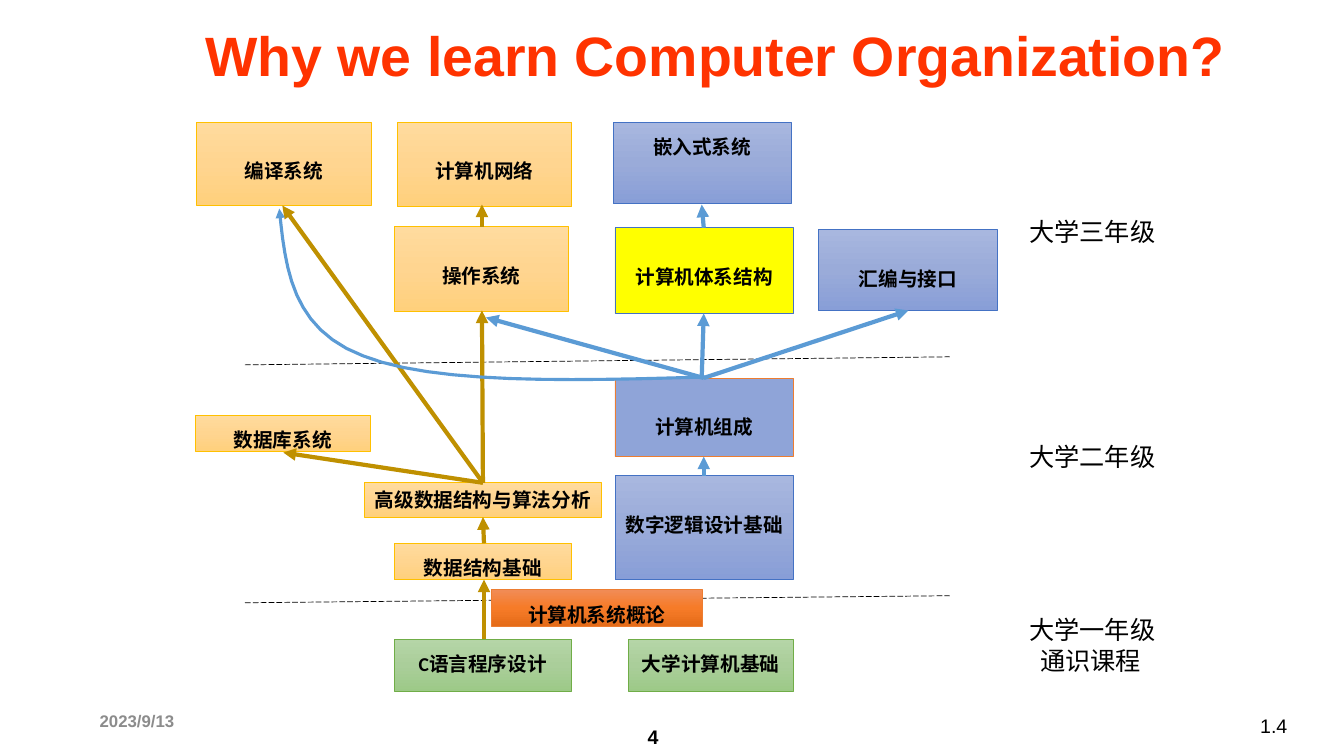
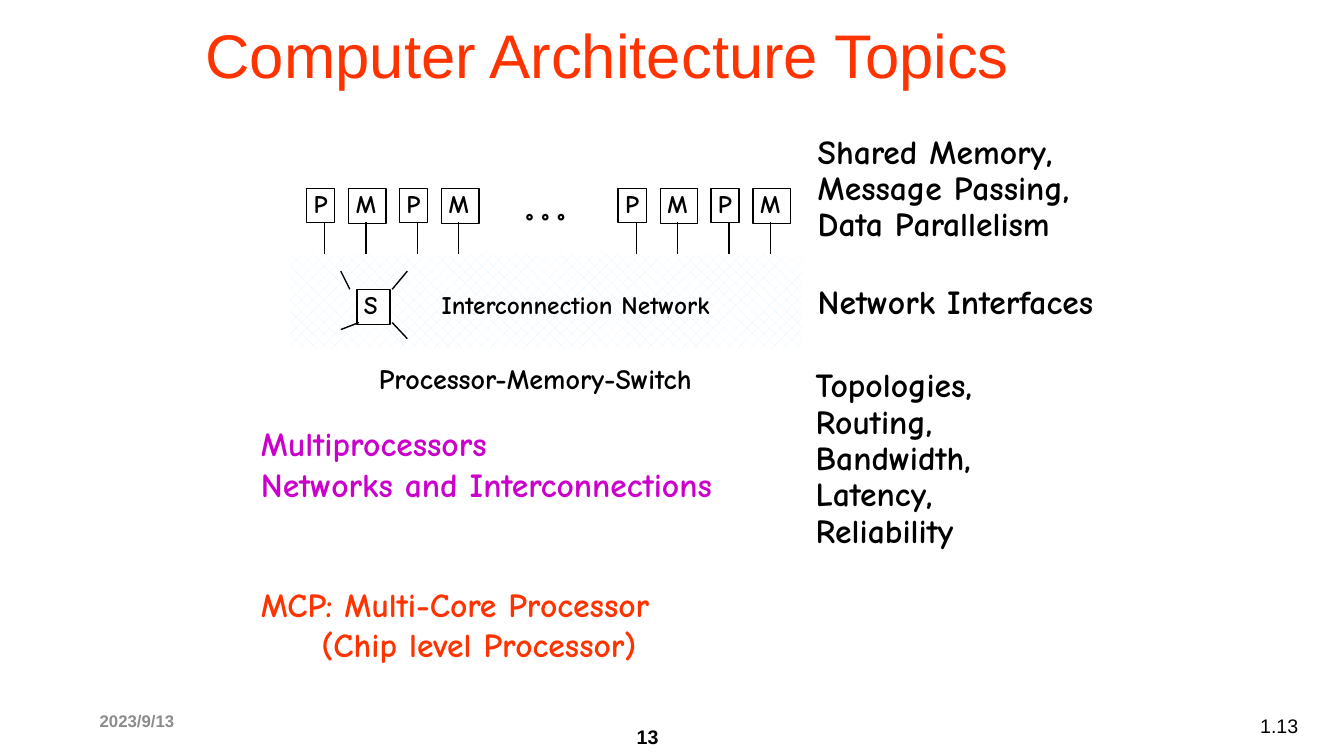
from copy import deepcopy
from pptx import Presentation
from pptx.dml.color import RGBColor
from pptx.enum.dml import MSO_LINE, MSO_PATTERN
from pptx.enum.shapes import MSO_CONNECTOR, MSO_SHAPE
from pptx.enum.text import MSO_ANCHOR, PP_ALIGN
from pptx.oxml.ns import qn
from pptx.oxml.xmlchemy import OxmlElement
from pptx.util import Inches, Pt


class Theme:
    sans, body, comic = "Arial", "Calibri", "Comic Neue"
    black, white, red = "000000", "FFFFFF", "FF3300"
    grey, purple, mist = "8C8C8C", "CC00CC", "E1F4FF"
    gold, blue = "BF9000", "5B9BD5"
    # Box kinds: fill stops, outline
    kinds = {
        "soft": (("FFDB9E", "FFD590", "FFD07C"), "FFC000"),
        "base": (("B5D5A7", "AACE9A", "9CC987"), "70AD47"),
        "hard": (("A8B7DF", "9AABD9", "889ED7"), "4472C4"),
        "intro": (("F18C57", "F67B28", "E56C19"), "ED7D31"),
        "core": (("8FA4D8",), "ED7D31"),
        "arch": (("FFFF00",), "4472C4"),
    }
    date, small, node, year, note, topic = 12, 14, 18, 18, 20, 24


# Text insets: left, top, right, bottom
PLAIN = (0.1, 0.05, 0.1, 0.05)
HIGH = (0.1, 0.13, 0.1, 0.05)
LOW = (0.1, 0.37, 0.1, 0.05)
TIGHT = (0.07, 0.03, 0, 0.03)

# Course map: text, kind, insets, place
COURSES = [
    ("编译系统", "soft", LOW, (1.95, 1.21, 1.73, 0.83)),
    ("计算机网络", "soft", LOW, (3.94, 1.21, 1.73, 0.84)),
    ("嵌入式系统", "hard", HIGH, (6.08, 1.21, 1.77, 0.81)),
    ("操作系统", "soft", LOW, (3.91, 2.25, 1.73, 0.84)),
    ("计算机体系结构", "arch", LOW, (6.1, 2.26, 1.77, 0.85)),
    ("汇编与接口", "hard", LOW, (8.12, 2.28, 1.77, 0.8)),
    ("计算机组成", "core", LOW, (6.1, 3.75, 1.77, 0.78)),
    ("数据库系统", "soft", HIGH, (1.94, 4.12, 1.73, 0.36)),
    ("高级数据结构与算法分析", "soft", PLAIN, (3.61, 4.79, 2.36, 0.34)),
    ("数字逻辑设计基础", "hard", LOW, (6.1, 4.72, 1.77, 1.03)),
    ("数据结构基础", "soft", HIGH, (3.91, 5.39, 1.76, 0.36)),
    ("计算机系统概论", "intro", HIGH, (4.87, 5.85, 2.1, 0.36)),
    ("C语言程序设计", "base", HIGH, (3.91, 6.34, 1.76, 0.52)),
    ("大学计算机基础", "base", HIGH, (6.23, 6.34, 1.64, 0.52)),
]
ARROWS = {
    Theme.gold: [
        (4.8, 6.34, 4.8, 5.75), (4.8, 5.39, 4.79, 5.13),
        (4.79, 4.79, 4.78, 3.08), (4.79, 4.79, 2.8, 2.04),
        (4.79, 4.79, 2.81, 4.49), (4.78, 2.25, 4.78, 2.03),
    ],
    Theme.blue: [
        (6.98, 4.72, 6.98, 4.53), (6.98, 3.75, 9.01, 3.08),
        (6.98, 3.75, 4.82, 3.15), (6.96, 3.74, 6.98, 3.11),
        (6.98, 2.26, 6.96, 2.03),
    ],
}
# Bezier pieces from core course to compilers
CURVE = [
    ((6.99, 3.74), (5.65, 3.78), (4.3, 3.81), (3.6, 3.53)),
    ((3.6, 3.53), (2.89, 3.26), (2.83, 2.66), (2.77, 2.07)),
]
BREAKS = [(2.43, 3.62, 9.42, 3.54), (2.43, 5.98, 9.42, 5.91)]
YEARS = [
    (2.1, ["大学三年级"]),
    (4.33, ["大学二年级"]),
    (6.05, ["大学一年级", "通识课程"]),
]

# Multiprocessor topics: left, top, lines
TOPICS = [
    (8.04, 1.31, ["Shared Memory,", "Message Passing,", "Data Parallelism"]),
    (8.04, 2.8, ["Network Interfaces"]),
    (8.02, 3.63, ["Topologies,", "Routing,", "Bandwidth,", "Latency,",
                  "Reliability"]),
]
THEMES = ["Multiprocessors", "Networks and Interconnections",
          "MCP: Multi-Core Processor", "(Chip level Processor)"]
SPOKES = [(3.89, 2.87, 4.04, 2.69), (3.47, 2.87, 3.38, 2.69),
          (3.56, 3.2, 3.38, 3.27), (3.89, 3.2, 4.04, 3.36)]
PAIRS = [3.04, 3.96, 6.13, 7.05]
# Node: letter, shift in pair, width, height, stem shift
NODES = [("P", 0, 0.28, 0.34, 0.18), ("M", 0.42, 0.37, 0.35, 0.17)]


def rgb(code):
    return RGBColor.from_string(code)


def write(shape, lines, face, size, color=Theme.black, bold=False, ins=PLAIN,
          align=PP_ALIGN.LEFT, anchor=MSO_ANCHOR.TOP, space=None, wrap=True):
    frame = shape.text_frame
    frame.word_wrap = wrap
    frame.vertical_anchor = anchor
    (frame.margin_left, frame.margin_top,
     frame.margin_right, frame.margin_bottom) = map(Inches, ins)
    frame.text = "\n".join(lines)
    for par in frame.paragraphs:
        par.alignment = align
        par.line_spacing = space
        font = par.font
        font.name, font.size, font.bold = face, Pt(size), bold
        font.color.rgb = rgb(color)
    return frame.paragraphs


def text(slide, place, lines, *args, **opts):
    return write(slide.shapes.add_textbox(*map(Inches, place)), lines,
                 *args, **opts)


def indent(par, inch):
    par._p.get_or_add_pPr().set("marL", str(Inches(inch)))


def box(slide, place, fills=(), edge=None, width=0.5):
    shape = slide.shapes.add_shape(MSO_SHAPE.RECTANGLE, *map(Inches, place))
    shape.shadow.inherit = False
    fill = shape.fill
    if len(fills) > 1:
        fill.gradient()
        fill.gradient_angle = 270
        stops = shape._element.spPr.find(".//" + qn("a:gsLst"))
        stops.insert(1, deepcopy(stops[0]))
        for i, stop in enumerate(fill.gradient_stops):
            stop.color.rgb = rgb(fills[i])
            stop.position = i / 2
    elif fills:
        fill.solid()
        fill.fore_color.rgb = rgb(fills[0])
    else:
        fill.background()
    if edge:
        shape.line.color.rgb = rgb(edge)
        shape.line.width = Pt(width)
    else:
        shape.line.fill.background()
    return shape


def ink(shape, color, width, dash=None, head=False):
    line = shape.line
    line.color.rgb = rgb(color)
    line.width = Pt(width)
    if dash:
        line.dash_style = dash
    if head:
        tip = OxmlElement("a:tailEnd")
        tip.set("type", "triangle")
        line._get_or_add_ln().append(tip)


def rule(slide, ends, color=Theme.black, width=1, **opts):
    line = slide.shapes.add_connector(MSO_CONNECTOR.STRAIGHT,
                                      *map(Inches, ends))
    ink(line, color, width, **opts)
    line._element.spPr.append(OxmlElement("a:effectLst"))


def bezier(points, t):
    parts = ((1 - t) ** 3, 3 * t * (1 - t) ** 2, 3 * t * t * (1 - t), t ** 3)
    return tuple(Inches(sum(k * p[i] for k, p in zip(parts, points)))
                 for i in (0, 1))


def curve(slide, pieces, steps=12):
    dots = [bezier(p, i / steps) for p in pieces for i in range(1, steps + 1)]
    path = slide.shapes.build_freeform(*bezier(pieces[0], 0))
    path.add_line_segments(dots, close=False)
    shape = path.convert_to_shape()
    shape.shadow.inherit = False
    shape.fill.background()
    ink(shape, Theme.blue, 2.25, head=True)


def start(deck, title, size, bold, page):
    """Blank slide with the shared title and footers."""
    slide = deck.slides.add_slide(deck.slide_layouts[6])
    mid = MSO_ANCHOR.MIDDLE
    text(slide, (3.85, 7.14, 2.78, 0.5), [f"{page}"], Theme.sans, Theme.small,
         bold=True, align=PP_ALIGN.RIGHT)
    text(slide, (12.4, 7.03, 0.94, 0.39), [f"1.{page}"], Theme.sans,
         Theme.small)
    text(slide, (0.89, 6.95, 3, 0.4), ["2023/9/13"], Theme.sans, Theme.date,
         Theme.grey, bold=True, anchor=mid)
    text(slide, (1.94, 0, 11.03, 1.07), [title], Theme.sans, size, Theme.red,
         bold=bold, anchor=mid)
    return slide


def courses(deck):
    slide = start(deck, "Why we learn Computer Organization?", 39.6, True, 4)
    for ends in BREAKS:
        rule(slide, ends, width=0.5, dash=MSO_LINE.LONG_DASH)
    for name, kind, ins, place in COURSES:
        write(box(slide, place, *Theme.kinds[kind]), [name], Theme.body,
              Theme.small, bold=True, ins=ins, align=PP_ALIGN.CENTER)
    for color, group in ARROWS.items():
        for ends in group:
            rule(slide, ends, color, 3, head=True)
    curve(slide, CURVE)
    for top, lines in YEARS:
        pars = text(slide, (10.11, top, 1.6, 0.4 * len(lines)), lines,
                    Theme.body, Theme.year)
        for par in pars[1:]:
            indent(par, 0.11)


def topics(deck):
    slide = start(deck, "Computer Architecture Topics", 44, False, 13)
    face = Theme.comic

    # Processors and memories on the network
    net = box(slide, (2.88, 2.53, 5.08, 0.92))
    net.fill.patterned()
    net.fill.pattern = MSO_PATTERN.PERCENT_25
    net.fill.fore_color.rgb = rgb(Theme.mist)
    net.fill.back_color.rgb = rgb(Theme.white)
    cells = [(name, (left + shift, 1.87, wide, high), ())
             for left in PAIRS for name, shift, wide, high, _ in NODES]
    cells.append(("S", (3.54, 2.87, 0.33, 0.35), (Theme.white,)))
    for name, place, fills in cells:
        write(box(slide, place, fills, Theme.black, 1), [name], face,
              Theme.node, bold=True, ins=TIGHT, space=0.92)
    stems = [(left + shift + stem, 2.2, left + shift + stem, 2.52)
             for left in PAIRS for _, shift, _, _, stem in NODES]
    for ends in stems + SPOKES:
        rule(slide, ends)
    for place, label in [((4.31, 2.89, 3.15, 0.31), "Interconnection Network"),
                         ((5.15, 2.06, 0.9, 0.31), "° ° °")]:
        text(slide, place, [label], face, Theme.node, bold=True, ins=TIGHT,
             space=0.85)
    text(slide, (3.66, 3.54, 3.79, 0.43), ["Processor-Memory-Switch"], face,
         Theme.note, bold=True)

    # Topic lists
    for left, top, lines in TOPICS:
        text(slide, (left, top, 3.4, 0.36 * len(lines) + 0.06), lines, face,
             Theme.topic, bold=True, ins=TIGHT, space=0.9)
    pars = text(slide, (2.49, 4.15, 5.29, 2.52), THEMES, face, Theme.topic,
                Theme.purple, bold=True)
    for par in pars[2:]:
        par.font.color.rgb = rgb(Theme.red)
    pars[2].space_before = Pt(57)
    indent(pars[3], 0.6)


def main():
    deck = Presentation()
    deck.slide_width, deck.slide_height = Inches(13.33), Inches(7.5)
    courses(deck)
    topics(deck)
    deck.save("out.pptx")


if __name__ == "__main__":
    main()
